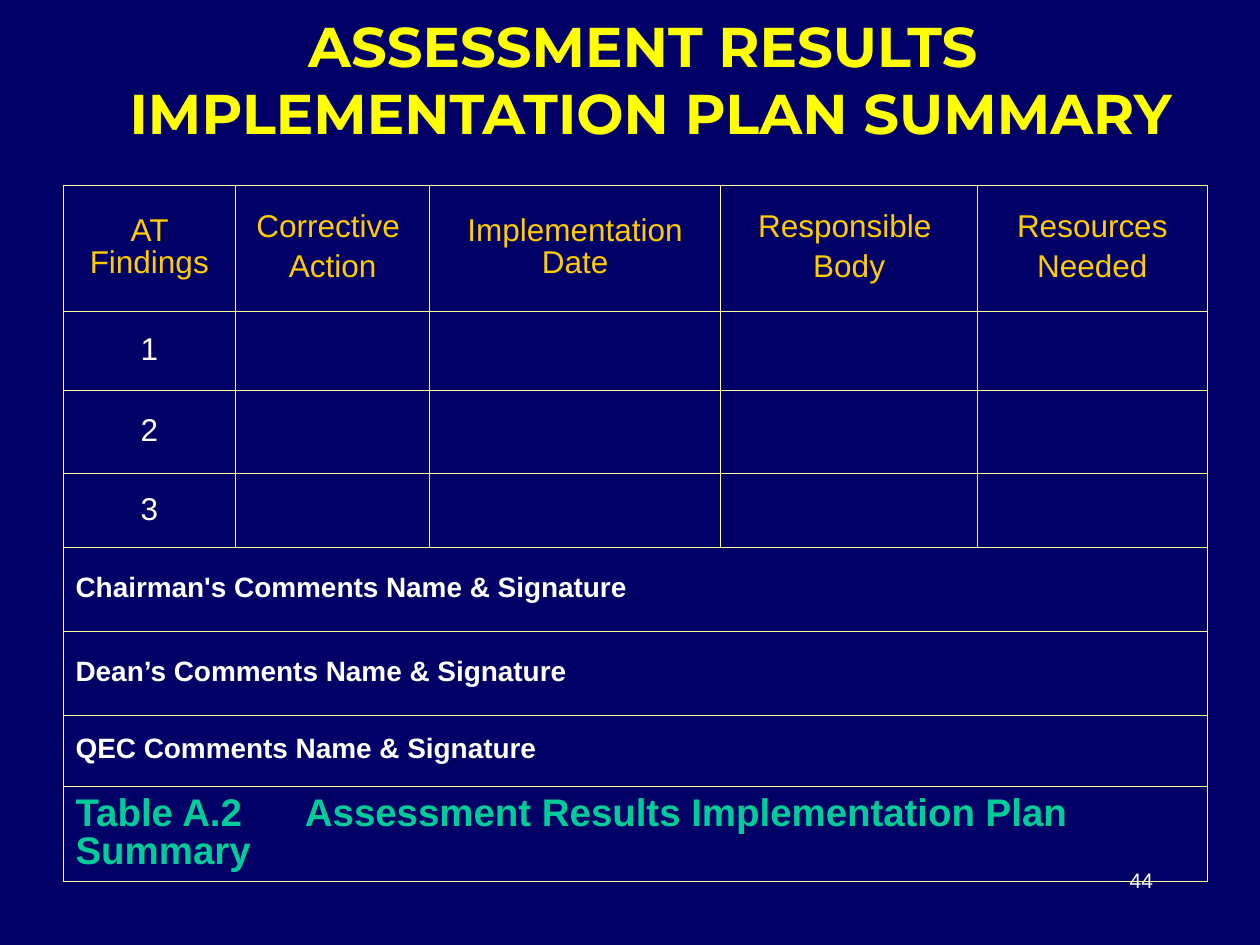
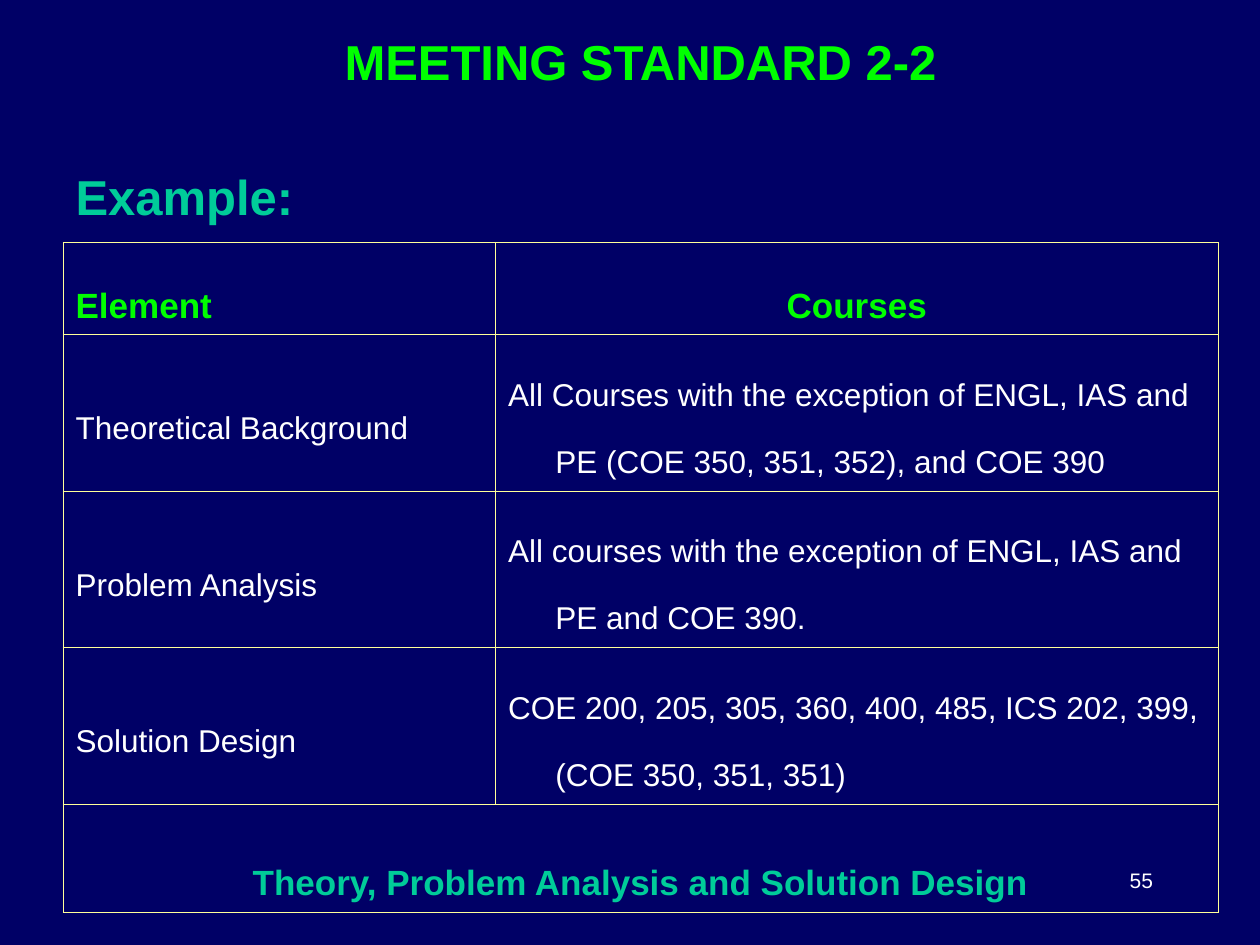
"""Build two slides with assessment tables on a navy background."""
from dataclasses import dataclass

from lxml.etree import SubElement
from pptx import Presentation
from pptx.dml.color import RGBColor
from pptx.enum.text import MSO_ANCHOR as Anchor, PP_ALIGN as Align
from pptx.oxml.ns import qn
from pptx.util import Emu, Inches, Pt

NAVY = RGBColor(0x00, 0x00, 0x66)
WHITE = RGBColor(0xFF, 0xFF, 0xFF)
YELLOW = RGBColor(0xFF, 0xFF, 0x00)
GOLD = RGBColor(0xFF, 0xCC, 0x00)
GREEN = RGBColor(0x00, 0xFF, 0x00)
TEAL = RGBColor(0x00, 0xCC, 0x99)
RULE = RGBColor(0xFF, 0xFF, 0x99)

UNIT = Inches(10) // 120
ALL_SIDES = "LRTB"


@dataclass(frozen=True)
class Style:
    """Look of the paragraphs in a box or cell."""
    size: int
    color: RGBColor
    bold: bool = False
    align: Align = Align.LEFT
    font: str = "Arial"
    spacing: float = 1.0
    before: float = 0
    hang: float = 0
    tab: float = 0


@dataclass(frozen=True)
class Area:
    """Place on the grid of 120 columns and 90 rows."""
    left: float
    top: float
    width: float
    height: float


@dataclass(frozen=True)
class Row:
    """Table row; one text for several columns spans them all."""
    height: float
    texts: tuple[str, ...]
    styles: tuple[Style, ...]
    sides: str = ALL_SIDES


HEAD = Style(18, GOLD, align=Align.CENTER, spacing=0.9, before=4.5)
NUMBER = Style(18, WHITE, align=Align.CENTER, spacing=0.9)
COMMENT = Style(16, WHITE, True, spacing=0.9)
CAPTION = Style(22, TEAL, True, spacing=0.9, tab=21.84)
PLAN_TITLE = Style(32, YELLOW, True, Align.CENTER, "Montserrat")

EXAMPLE = Style(28, TEAL, True, spacing=1.9, hang=4.5)
ELEMENT = Style(20, GREEN, True, spacing=1.9, hang=4.5)
COURSES = Style(20, GREEN, True, Align.CENTER, spacing=1.9)
BODY = Style(18, WHITE, spacing=1.9, hang=4.5)
SUMMARY = Style(20, TEAL, True, Align.CENTER, spacing=2.28)
STANDARD_TITLE = Style(28, GREEN, True, Align.CENTER, spacing=0.9)

PAGE_NUMBER = Style(12, WHITE, align=Align.RIGHT)
PAGE_NUMBER_AREA = Area(86, 82, 25, 6)

PLAN_COLUMNS = (16.44, 18.48, 27.72, 24.48, 21.84)
PLAN_HEADS = ("AT Findings", "Corrective \nAction", "Implementation Date",
              "Responsible \nBody", "Resources\nNeeded")
PLAN_ROWS = (
    Row(12, PLAN_HEADS, (HEAD,) * 5),
    *(Row(height, (str(number), "", "", "", ""), (NUMBER,) * 5)
      for number, height in enumerate((7.5, 7.98, 7), start=1)),
    *(Row(height, (f"{who} Comments Name & Signature",), (COMMENT,))
      for who, height in (("Chairman's", 8), ("Dean’s", 8), ("QEC", 6.75))),
    Row(9.12, ("Table A.2\tAssessment Results Implementation Plan Summary",), (CAPTION,)),
)

COURSE_COLUMNS = (41.2, 68.8)
COURSE_LIST = (
    ("Theoretical Background",
     "All Courses with the exception of ENGL, IAS and PE (COE 350, 351, 352), and COE 390"),
    ("Problem Analysis",
     "All courses with the exception of ENGL, IAS and PE and COE 390."),
    ("Solution Design",
     "COE 200, 205, 305, 360, 400, 485, ICS 202, 399, (COE 350, 351, 351)"),
)
COURSE_ROWS = (
    Row(13.08, ("Example:",), (EXAMPLE,), sides="B"),
    Row(8.8, ("Element", "Courses"), (ELEMENT, COURSES)),
    *(Row(14.9, texts, (BODY, BODY)) for texts in COURSE_LIST),
    Row(10.32, ("Theory, Problem Analysis and Solution Design",), (SUMMARY,)),
)


def grid(count: float) -> Emu:
    """Turn a count of grid units into a length."""
    return Emu(round(count * UNIT))


def write(frame, text: str, style: Style) -> None:
    """Put text in a frame, one paragraph a line, and format it."""
    frame.text = text
    for index, para in enumerate(frame.paragraphs):
        para.alignment = style.align
        para.line_spacing = style.spacing
        if index:
            para.space_before = Pt(style.before)
        properties = para._p.get_or_add_pPr()
        if style.hang:
            properties.set("marL", str(grid(style.hang)))
            properties.set("indent", str(-grid(style.hang)))
        if style.tab:
            stops = SubElement(properties, qn("a:tabLst"))
            SubElement(stops, qn("a:tab"), pos=str(grid(style.tab)), algn="l")
        for span in para.runs:
            span.font.name = style.font
            span.font.size = Pt(style.size)
            span.font.bold = style.bold
            span.font.color.rgb = style.color


def add_text(page, area: Area, text: str, style: Style,
             anchor: Anchor = Anchor.TOP, wrap: bool = True) -> None:
    """Add a text box to the page."""
    box = page.shapes.add_textbox(grid(area.left), grid(area.top),
                                  grid(area.width), grid(area.height))
    box.text_frame.word_wrap = wrap
    box.text_frame.vertical_anchor = anchor
    write(box.text_frame, text, style)


def rule_cell(cell, sides: str) -> None:
    """Draw the named sides of a cell and hide the others."""
    properties = cell._tc.get_or_add_tcPr()
    for index, side in enumerate(ALL_SIDES):
        line = properties.makeelement(qn(f"a:ln{side}"), {"w": str(Pt(0.45))})
        if side in sides:
            fill = SubElement(line, qn("a:solidFill"))
            SubElement(fill, qn("a:srgbClr"), val=str(RULE))
        else:
            SubElement(line, qn("a:noFill"))
        properties.insert(index, line)


def add_grid_table(page, left: float, top: float, columns: tuple[float, ...],
                   rows: tuple[Row, ...]) -> None:
    """Add a ruled table with the given column widths and rows."""
    height = sum(row.height for row in rows)
    table = page.shapes.add_table(len(rows), len(columns), grid(left), grid(top),
                                  grid(sum(columns)), grid(height)).table
    table.first_row = table.horz_banding = False
    for column, width in zip(table.columns, columns):
        column.width = grid(width)
    for index, row in enumerate(rows):
        table.rows[index].height = grid(row.height)
        cells = list(table.rows[index].cells)
        for cell in cells:
            cell.fill.solid()
            cell.fill.fore_color.rgb = NAVY
            cell.vertical_anchor = Anchor.MIDDLE
            rule_cell(cell, row.sides)
        if len(row.texts) == 1:
            cells[0].merge(cells[-1])
        for cell, text, style in zip(cells, row.texts, row.styles):
            if text:
                write(cell.text_frame, text, style)


def add_page(deck):
    """Add a blank navy page."""
    page = deck.slides.add_slide(deck.slide_layouts[6])
    page.background.fill.solid()
    page.background.fill.fore_color.rgb = NAVY
    return page


def main() -> None:
    """Build and save the deck."""
    deck = Presentation()
    deck.slide_width, deck.slide_height = grid(120), grid(90)

    plan = add_page(deck)
    add_grid_table(plan, 6, 17.64, PLAN_COLUMNS, PLAN_ROWS)
    add_text(plan, Area(9, 0, 106, 15), "ASSESSMENT RESULTS \nIMPLEMENTATION PLAN SUMMARY",
             PLAN_TITLE, Anchor.MIDDLE, wrap=False)
    add_text(plan, PAGE_NUMBER_AREA, "44", PAGE_NUMBER)

    standard = add_page(deck)
    add_grid_table(standard, 6, 10, COURSE_COLUMNS, COURSE_ROWS)
    add_text(standard, Area(19, 3, 84, 6.25), "MEETING STANDARD 2-2", STANDARD_TITLE)
    add_text(standard, PAGE_NUMBER_AREA, "55", PAGE_NUMBER)

    deck.save("out.pptx")


if __name__ == "__main__":
    main()
